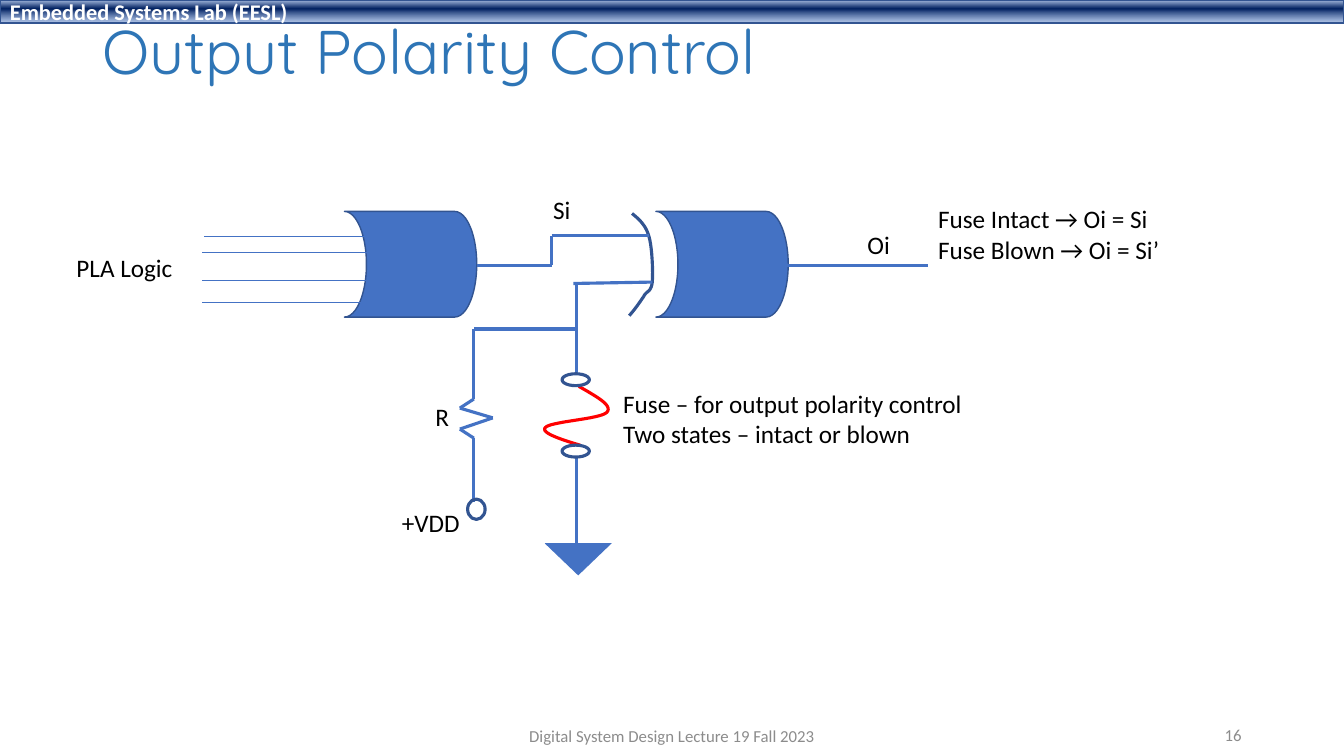
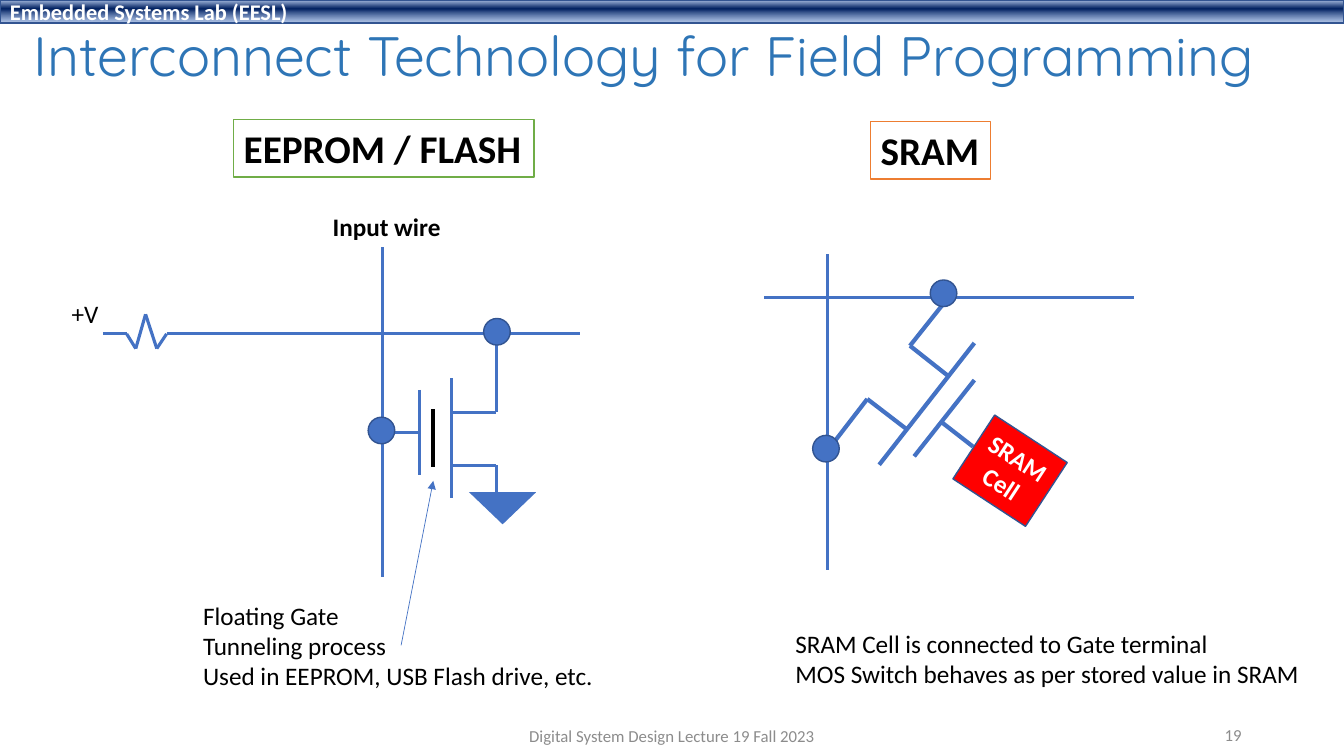
import pptx
import pptx.dml.color
import pptx.enum.dml
import pptx.enum.shapes
import pptx.enum.text
import pptx.oxml
import pptx.oxml.ns
import pptx.util

Pt = pptx.util.Pt
RGB = pptx.dml.color.RGBColor
SHAPE = pptx.enum.shapes.MSO_SHAPE
ALIGN = pptx.enum.text.PP_ALIGN
ANCHOR = pptx.enum.text.MSO_ANCHOR

BLUE = RGB(0x44, 0x72, 0xC4)
EDGE = RGB(0x32, 0x54, 0x91)
TITLE_BLUE = RGB(0x2E, 0x75, 0xB6)
GREY = RGB(0x8C, 0x8C, 0x8C)
GREEN = RGB(0x70, 0xAD, 0x47)
ORANGE = RGB(0xED, 0x7D, 0x31)
RED = RGB(0xFF, 0x00, 0x00)
WHITE = RGB(0xFF, 0xFF, 0xFF)
BLACK = RGB(0x00, 0x00, 0x00)

BODY = {"size": Pt(18), "name": "Calibri", "bold": False}
STRONG = {**BODY, "bold": True}
HEADING = {**STRONG, "size": Pt(28)}
BAND = {**STRONG, "size": Pt(16)}
FOOTER = {**BODY, "size": Pt(12)}
NS = pptx.oxml.ns.nsdecls("a")
BAND_FILL = (
    f'<a:gradFill {NS} rotWithShape="1"><a:gsLst>'
    '<a:gs pos="2000"><a:srgbClr val="ABC0E4"/></a:gs>'
    '<a:gs pos="38000"><a:srgbClr val="002060"/></a:gs>'
    '<a:gs pos="93000"><a:srgbClr val="7E9ED6"><a:alpha val="64000"/></a:srgbClr></a:gs>'
    '</a:gsLst><a:lin ang="5400000" scaled="0"/></a:gradFill>'
)


def write(sp, text, font, color=BLACK, align=ALIGN.LEFT, anchor=ANCHOR.TOP, wrap=False):
    tf = sp.text_frame
    tf.text = text
    frame = {"word_wrap": wrap, "vertical_anchor": anchor,
             "auto_size": pptx.enum.text.MSO_AUTO_SIZE.NONE}
    for key, value in frame.items():
        setattr(tf, key, value)
    for p in tf.paragraphs:
        p.alignment = align
        for r in p.runs:
            for key, value in font.items():
                setattr(r.font, key, value)
            r.font.color.rgb = color


def draw(s, kind, box, fill=None, line=EDGE, width=1, rotation=0):
    sp = s.shapes.add_shape(kind, *map(Pt, box))
    sp.shadow.inherit = False
    sp.rotation = rotation
    if fill is None:
        sp.fill.background()
    else:
        sp.fill.solid()
        sp.fill.fore_color.rgb = fill
    if line is None:
        sp.line.fill.background()
    else:
        sp.line.color.rgb = line
        sp.line.width = Pt(width)
    return sp


prs = pptx.Presentation()
prs.slide_width = Pt(960)
prs.slide_height = Pt(540)
layout = prs.slide_layouts[5]

titles = [
    ("Output Polarity Control", 44, (66, 11, 828, 55.5), "16"),
    ("Interconnect Technology for Field Programming", 39.6, (16.5, 11.5, 943, 60.5), "19"),
]
for title, size, box, number in titles:
    s = prs.slides.add_slide(layout)
    sp = s.shapes.title
    for key, value in zip(("left", "top", "width", "height"), box):
        setattr(sp, key, Pt(value))
    write(sp, title, {"size": Pt(size), "name": "Quicksand"}, TITLE_BLUE,
          anchor=ANCHOR.MIDDLE, wrap=True)
    sp.text_frame.paragraphs[0].line_spacing = 0.9
    footers = [
        (number, (678, 510.5, 216, 29), ALIGN.RIGHT),
        ("Digital System Design Lecture 19 Fall 2023", (318, 511, 324, 29), ALIGN.CENTER),
    ]
    for text, box, align in footers:
        sp = s.shapes.add_textbox(*map(Pt, box))
        write(sp, text, FOOTER, GREY, align, ANCHOR.MIDDLE, True)

polarity, interconnect = prs.slides

band = draw(polarity, SHAPE.RECTANGLE, (0, 0, 960, 16.5))
write(band, "Embedded Systems Lab (EESL)", BAND, WHITE, anchor=ANCHOR.MIDDLE, wrap=True)
props = band.element.spPr
no_fill = props.find(pptx.oxml.ns.qn("a:noFill"))
props.replace(no_fill, pptx.oxml.parse_xml(BAND_FILL))
layout.shapes.element.append(band.element)

for left in (246, 468.5):
    draw(polarity, SHAPE.FLOWCHART_STORED_DATA, (left, 151, 94.5, 75.5), BLUE, rotation=180)

curves = [
    (EDGE, (451.5, 152.5), [
        ((456.5, 156.5), (461, 160.5), (463.5, 168.5)),
        ((466, 177), (466.5, 194.5), (466, 201.5)),
        ((465, 209), (462, 207.5), (460, 211.5)),
        ((457, 216), (453.5, 221), (449.5, 225.5)),
    ]),
    (RED, (413.5, 276), [
        ((425.5, 283), (438, 289.5), (433.5, 294.5)),
        ((429, 299.5), (392.5, 301), (389.5, 305.5)),
        ((386, 309), (400.5, 314), (414.5, 318)),
    ]),
]
STEPS = 16
for color, start, segments in curves:
    builder = polarity.shapes.build_freeform(*map(Pt, start))
    a = start
    for b, c, d in segments:
        points = []
        for i in range(1, STEPS + 1):
            t = i / STEPS
            u = 1 - t
            points.append([
                Pt(u**3 * a[k] + 3 * u * u * t * b[k] + 3 * u * t * t * c[k] + t**3 * d[k])
                for k in (0, 1)
            ])
        builder.add_line_segments(points, close=False)
        a = d
    sp = builder.convert_to_shape()
    sp.shadow.inherit = False
    sp.fill.background()
    sp.line.color.rgb = color
    sp.line.width = Pt(2.25)

polarity_wires = [
    [(340.5, 189.5), (394, 189.5), (394, 168.5), (463.5, 168.5)],
    [(466, 201.5), (409.5, 202.5)],
    [(412, 202), (412, 267)],
    [(412, 327), (412, 390)],
    [(412, 235), (338.5, 235), (338.5, 285), (328.5, 291.5), (352, 298.5),
     (328.5, 306.5), (338.5, 313), (338.5, 358.5)],
    [(562.5, 189.5), (663, 189.5)],
]
input_wires = [
    [(262, 168.5), (145.5, 168.5)],
    *([(262, y), (144, y)] for y in (180.5, 200, 216)),
]
cell_wires = [
    [(322.5, 270), (322.5, 355.5)],
    [(299.5, 278.5), (299.5, 339)],
    [(322.5, 294.5), (354.5, 294.5), (354.5, 238.5)],
    [(322.5, 332.5), (354.5, 332.5), (354.5, 354)],
    [(299.5, 309), (273.5, 309)],
    [(414, 238.5), (134.5, 238.5)],
    [(73.5, 238.5), (90.5, 238.5), (97, 249), (104, 224.5), (112, 249),
     (119, 238.5), (135.5, 238.5)],
    [(273.5, 176.5), (273.5, 412.5)],
    [(591, 181.5), (591, 407.5)],
    [(546, 212.5), (810, 212.5)],
]
switch_wires = [
    [(628, 332), (696, 245)],
    [(653, 326), (696, 271.5)],
    [(647.5, 306.5), (619.5, 285), (591, 322)],
    [(678.5, 269.5), (650, 247), (677, 213)],
    [(672.5, 301.5), (695, 319)],
]
wirings = [
    (polarity, polarity_wires, BLUE, 2.25),
    (polarity, input_wires, BLUE, 0.5),
    (interconnect, cell_wires, BLUE, 2.25),
    (interconnect, [[(309.5, 292.5), (309.5, 333.5)]], BLACK, 3),
    (interconnect, switch_wires, BLUE, 3),
    (interconnect, [[(286.5, 461), (309.5, 343.5)]], BLUE, 0.5),
]
for s, wires, color, width in wirings:
    for wire in wires:
        for start, end in zip(wire, wire[1:]):
            line = s.shapes.add_connector(
                pptx.enum.shapes.MSO_CONNECTOR.STRAIGHT, *map(Pt, start + end))
            line.line.color.rgb = color
            line.line.width = Pt(width)
            line.element.spPr.append(pptx.oxml.parse_xml(f"<a:effectLst {NS}/>"))
arrow_line = line.line._get_or_add_ln()
arrow_line.append(pptx.oxml.parse_xml(f'<a:tailEnd {NS} type="triangle"/>'))

for box in ((401.5, 267, 19.5, 8.5), (401.5, 318, 19.5, 8.5), (334, 356.5, 12.5, 14.5)):
    draw(polarity, SHAPE.OVAL, box, width=2.25)

for s, left, top in ((polarity, 389, 388), (interconnect, 335, 351.5)):
    sp = draw(s, SHAPE.ISOSCELES_TRIANGLE, (left, top, 48, 23), line=None, rotation=180)
    sp.fill.patterned()
    sp.fill.pattern = pptx.enum.dml.MSO_PATTERN.DARK_HORIZONTAL
    sp.fill.fore_color.rgb = BLUE
    sp.fill.back_color.rgb = WHITE

sp = draw(interconnect, SHAPE.RECTANGLE, (690.5, 309, 62, 54.5), RED, rotation=33.2)
write(sp, "SRAM\nCell", STRONG, WHITE, ALIGN.CENTER, ANCHOR.MIDDLE)

for left, top in ((263, 298), (345.5, 227.5), (664.5, 200), (580.5, 311)):
    draw(interconnect, SHAPE.OVAL, (left, top, 19, 19), BLUE)

headings = [
    ("EEPROM / FLASH", (167, 85.5, 214.5, 41), GREEN),
    ("SRAM", (622, 87, 85.5, 41), ORANGE),
]
for text, box, color in headings:
    write(draw(interconnect, SHAPE.RECTANGLE, box, WHITE, color), text, HEADING)

labels = [
    (polarity, "+VDD", (280, 358.5, 56, 29), BODY),
    (polarity, "Fuse – for output polarity control\nTwo states – intact or blown",
     (438, 273.5, 259, 51), BODY),
    (polarity, "Fuse Intact → Oi = Si\nFuse Blown → Oi = Si’", (663, 142, 173.5, 51), BODY),
    (polarity, "Oi", (612.5, 160.5, 31, 29), BODY),
    (polarity, "Si", (388, 135.5, 27.5, 29), BODY),
    (polarity, "R", (304, 283, 24.5, 29), BODY),
    (polarity, "PLA Logic", (47.5, 176.5, 84, 29), BODY),
    (interconnect, "+V", (44, 209.5, 34, 29), BODY),
    (interconnect, "Input wire", (230.5, 147.5, 92, 29), STRONG),
    (interconnect, "Floating Gate\nTunneling process\nUsed in EEPROM, USB Flash drive, etc.",
     (138, 425, 296, 72.5), BODY),
    (interconnect, "SRAM Cell is connected to Gate terminal\n"
     "MOS Switch behaves as per stored value in SRAM", (561, 445, 378, 51), BODY),
]
for s, text, box, font in labels:
    write(s.shapes.add_textbox(*map(Pt, box)), text, font)

prs.save("out.pptx")
